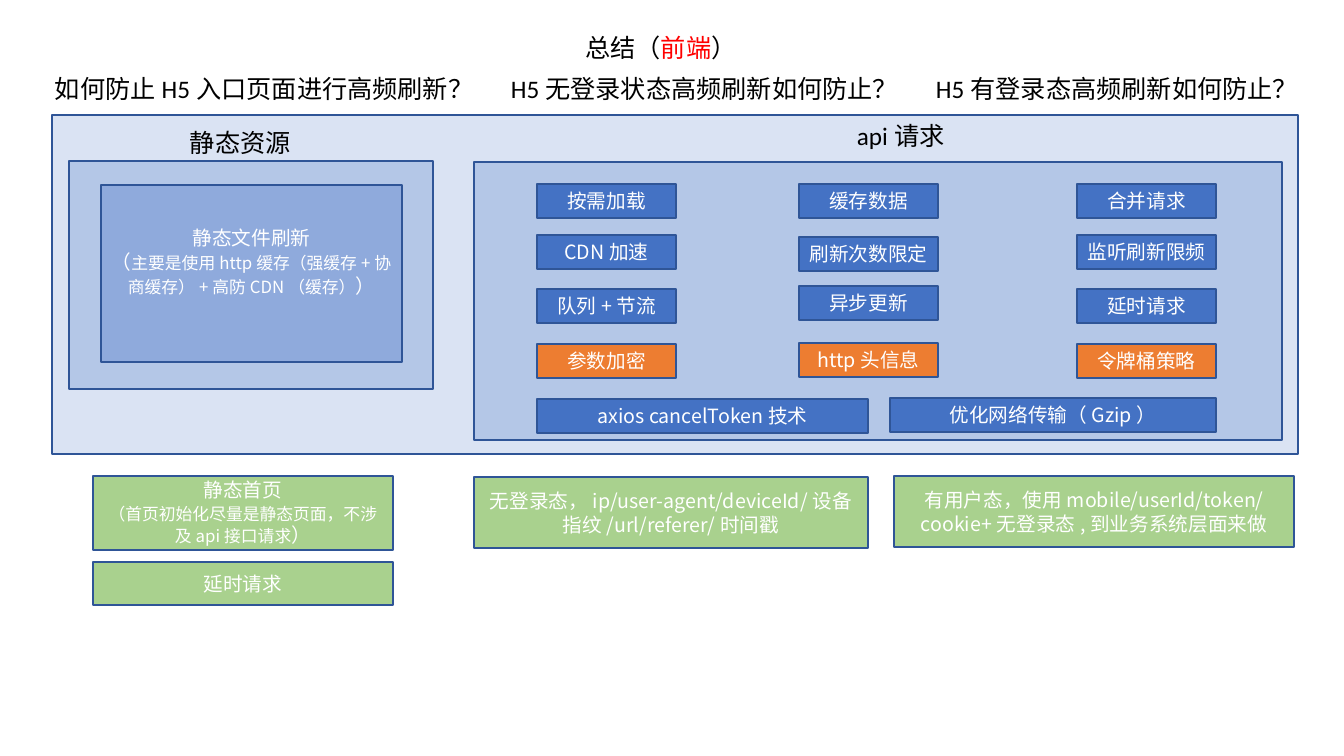
"""Build the front-end summary slide on limiting high-frequency refreshes."""
import pptx
import pptx.dml.color
import pptx.enum.lang
import pptx.enum.shapes
import pptx.enum.text
import pptx.util

SCALE = 914400 / 100.8
ALIGN = pptx.enum.text.PP_ALIGN
BLUE, ORANGE, GREEN = "4472C4", "ED7D31", "A9D18E"


def color(code):
    return pptx.dml.color.RGBColor.from_string(code)


def write(shape, paras, face, size, ink, align, pitch):
    frame = shape.text_frame
    frame.word_wrap = True
    for index, runs in enumerate(paras):
        par = frame.add_paragraph() if index else frame.paragraphs[0]
        par.alignment = align
        par.line_spacing = pptx.util.Pt(pitch)
        par.font.name = face
        par.font.size = pptx.util.Pt(size)
        par.font.color.rgb = color(ink)
        par.font.language_id = pptx.enum.lang.MSO_LANGUAGE_ID.SIMPLIFIED_CHINESE
        for text, small, tint in runs:
            run = par.add_run()
            run.text = text
            if small:
                run.font.size = pptx.util.Pt(small)
            if tint:
                run.font.color.rgb = color(tint)


deck = pptx.Presentation()
deck.slide_width = round(1344 * SCALE)
deck.slide_height = round(756 * SCALE)
slide = deck.slides.add_slide(deck.slide_layouts[6])

boxes = [
    (52, 115, 1246, 339, "DAE3F3", [], 17, 5),
    (69, 161, 364, 228, "B4C7E7", [], 17, 5),
    (474, 162, 808, 278, "B4C7E7", [], 17, 5),
    (101, 185, 301, 177, "8FAADC", [
        [("静态文件刷新", None, None)],
        [("（", None, None),
         ("主要是使用http缓存（强缓存+协商缓存）+高防CDN（缓存）", 12, None),
         ("）", None, None)],
    ], 17, 29),
    (93, 476, 300, 74, GREEN, [
        [("静态首页", None, None)],
        [("（首页初始化尽量是静态页面，不涉及api接口请求", 12, None),
         ("）", None, None)],
    ], 16, 5),
]

labels = [
    (93, 562, 300, 43, GREEN, "延时请求"),
    (474, 477, 394, 71, GREEN,
     "无登录态，ip/user-agent/deviceId/设备指纹/url/referer/时间戳"),
    (894, 476, 400, 71, GREEN,
     "有用户态，使用mobile/userId/token/cookie+无登录态,到业务系统层面来做"),
    (537, 399, 331, 34, BLUE, "axios cancelToken技术"),
    (890, 398, 326, 34, BLUE, "优化网络传输（Gzip）"),
]

columns = [
    (537, (184, 235, 289, 344), ("按需加载", "CDN加速", "队列+节流", "参数加密")),
    (799, (184, 237, 286, 343), ("缓存数据", "刷新次数限定", "异步更新", "http头信息")),
    (1077, (184, 235, 289, 344), ("合并请求", "监听刷新限频", "延时请求", "令牌桶策略")),
]
for left, tops, words in columns:
    for top, word, fill in zip(tops, words, [BLUE] * 3 + [ORANGE]):
        labels.append((left, top, 139, 34, fill, word))

for *place, fill, word in labels:
    boxes.append((*place, fill, [[(word, None, None)]], 17, 5))

for *place, fill, paras, pitch, foot in boxes:
    box = slide.shapes.add_shape(
        pptx.enum.shapes.MSO_SHAPE.RECTANGLE, *[round(v * SCALE) for v in place])
    box.shadow.inherit = False
    box.fill.solid()
    box.fill.fore_color.rgb = color(fill)
    box.line.color.rgb = color("2F5597")
    box.line.width = pptx.util.Pt(1)
    box.text_frame.vertical_anchor = pptx.enum.text.MSO_ANCHOR.MIDDLE
    box.text_frame.margin_bottom = round(foot * SCALE)
    write(box, paras, "Noto Sans CJK SC", 14, "FFFFFF", ALIGN.CENTER, pitch)

heads = [
    (31, 27, 1260, ALIGN.CENTER,
     [("总结（", None, None), ("前端", None, "FF0000"), ("）", None, None)]),
    (45, 68, 512, ALIGN.LEFT, [("如何防止H5入口页面进行高频刷新？", None, None)]),
    (501, 68, 437, ALIGN.LEFT, [("H5无登录状态高频刷新如何防止？", None, None)]),
    (926, 68, 418, ALIGN.LEFT, [("H5有登录态高频刷新如何防止？", None, None)]),
    (180, 122, 139, ALIGN.LEFT, [("静态资源", None, None)]),
    (847, 115, 123, ALIGN.LEFT, [("api请求", None, None)]),
]
for left, top, width, align, runs in heads:
    head = slide.shapes.add_textbox(
        *[round(v * SCALE) for v in (left, top, width, 40)])
    write(head, [runs], "Calibri", 18, "000000", align, 22)

deck.save("out.pptx")
